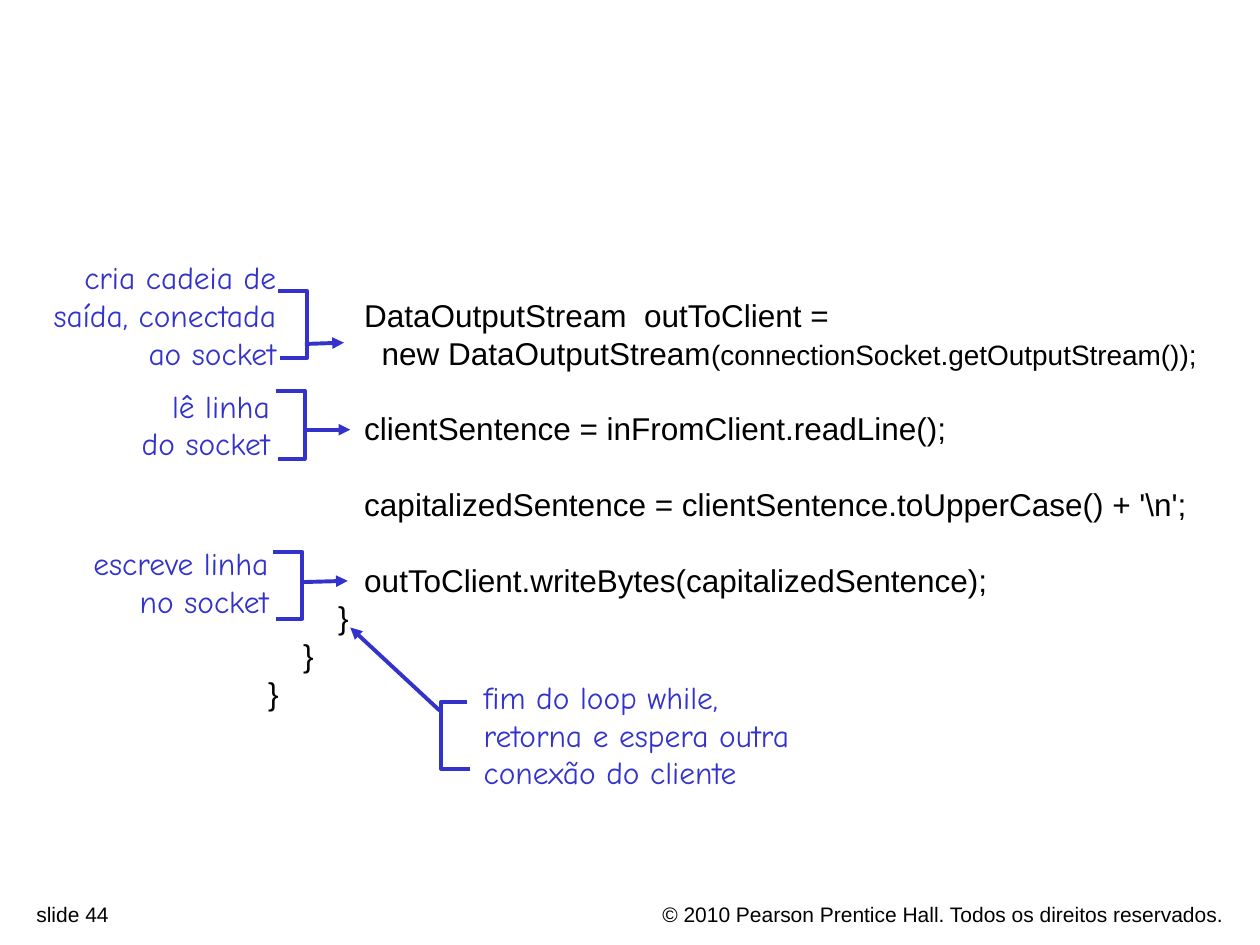
import pptx
import pptx.util
import pptx.dml.color
import pptx.enum.text
import pptx.enum.shapes
import pptx.oxml
import pptx.oxml.ns
from pptx.util import Inches

BLACK = pptx.dml.color.RGBColor(0x00, 0x00, 0x00)
BLUE = pptx.dml.color.RGBColor(0x33, 0x33, 0xCC)
LEFT = pptx.enum.text.PP_ALIGN.LEFT
RIGHT = pptx.enum.text.PP_ALIGN.RIGHT
LINE_FACTOR = 1.2
LINE_WIDTH = 2.25

CODE_STYLE = {"name": "Arial", "size": 18, "color": BLACK}
NOTE_STYLE = {"name": "Comic Neue", "size": 18, "color": BLUE}
FOOTER_STYLE = {"name": "Arial", "size": 12, "color": BLACK}

# Code: (blank lines before, runs as (text, size))
CODE = [
    (0, [("           DataOutputStream  outToClient =", 18)]),
    (0, [("             new DataOutputStream", 18),
         ("(connectionSocket.getOutputStream());", 16)]),
    (1, [("           clientSentence = inFromClient.readLine();", 18)]),
    (1, [("           capitalizedSentence = clientSentence.toUpperCase() + '\\n';", 18)]),
    (1, [("           outToClient.writeBytes(capitalizedSentence);", 18)]),
    (0, [("        }", 18)]),
    (0, [("    }", 18)]),
    (0, [("}", 18)]),
]

# Notes: box (left, top, width, height), alignment, lines,
# bracket (top arm x, spine x, bottom arm x, top y, bottom y), arrow (from, to)
NOTES = [
    {"box": (0, 2, 2.29, 1), "align": RIGHT,
     "lines": ["cria cadeia de", "saída, conectada", "ao socket"],
     "bracket": (2.21, 2.44, 2.22, 2.31, 2.84),
     "arrow": ((2.42, 2.73), (2.73, 2.72))},
    {"box": (0, 3.02, 2.24, 0.7), "align": RIGHT,
     "lines": ["lê linha", "do socket"],
     "bracket": (2.19, 2.42, 2.21, 3.1, 3.64),
     "arrow": ((2.42, 3.41), (2.78, 3.41))},
    {"box": (0, 4.27, 2.23, 0.7), "align": RIGHT,
     "lines": ["escreve linha", "no socket"],
     "bracket": (2.17, 2.4, 2.19, 4.38, 4.91),
     "arrow": ((2.4, 4.62), (2.76, 4.61))},
    {"box": (3.74, 5.33, 3, 1), "align": LEFT,
     "lines": ["fim do loop while,", "retorna e espera outra", "conexão do cliente"],
     "bracket": (3.71, 3.5, 3.73, 5.57, 6.1),
     "arrow": ((3.49, 5.64), (2.78, 4.98))},
]

FOOTERS = [
    ((0.19, 7.11, 3.52, 0.24), LEFT, "slide 44"),
    ((4.7, 7.11, 5.11, 0.24), RIGHT,
     "© 2010 Pearson Prentice Hall. Todos os direitos reservados."),
]


def plain(lines, size):
    return [(0, [(line, size)]) for line in lines]


def add_text(slide, box, lines, style, align):
    shape = slide.shapes.add_textbox(*map(Inches, box))
    frame = shape.text_frame
    frame.word_wrap = True
    pitch = style["size"] * LINE_FACTOR
    for index, (blanks, runs) in enumerate(lines):
        paragraph = frame.add_paragraph() if index else frame.paragraphs[0]
        settings = {"alignment": align, "line_spacing": pptx.util.Pt(pitch),
                    "space_before": pptx.util.Pt(blanks * pitch)}
        for name, value in settings.items():
            setattr(paragraph, name, value)
        for text, size in runs:
            run = paragraph.add_run()
            run.text = text
            for name, value in {"name": style["name"], "size": pptx.util.Pt(size)}.items():
                setattr(run.font, name, value)
            run.font.color.rgb = style["color"]


def style_line(shape):
    shape.line.color.rgb = BLUE
    shape.line.width = pptx.util.Pt(LINE_WIDTH)


def add_bracket(slide, top_arm, spine, bottom_arm, top, bottom):
    builder = slide.shapes.build_freeform(Inches(top_arm), Inches(top))
    corners = [(spine, top), (spine, bottom), (bottom_arm, bottom)]
    builder.add_line_segments([(Inches(x), Inches(y)) for x, y in corners], close=False)
    shape = builder.convert_to_shape()
    shape.shadow.inherit = False
    shape.fill.background()
    style_line(shape)


def add_arrow(slide, start, end):
    connector = slide.shapes.add_connector(
        pptx.enum.shapes.MSO_CONNECTOR.STRAIGHT, *map(Inches, start + end))
    style_line(connector)
    namespace = pptx.oxml.ns.nsdecls("a")
    connector.line._get_or_add_ln().append(
        pptx.oxml.parse_xml(f'<a:tailEnd {namespace} type="triangle"/>'))
    connector._element.spPr.append(pptx.oxml.parse_xml(f"<a:effectLst {namespace}/>"))


def main():
    presentation = pptx.Presentation()
    presentation.slide_width = Inches(10)
    presentation.slide_height = Inches(7.5)
    slide = presentation.slides.add_slide(presentation.slide_layouts[6])

    # Footer
    for box, align, text in FOOTERS:
        add_text(slide, box, plain([text], FOOTER_STYLE["size"]), FOOTER_STYLE, align)

    # Code listing
    add_text(slide, (2.03, 2.3, 7.9, 3.4), CODE, CODE_STYLE, LEFT)

    # Notes with brackets and arrows
    for note in NOTES:
        lines = plain(note["lines"], NOTE_STYLE["size"])
        add_text(slide, note["box"], lines, NOTE_STYLE, note["align"])
        add_bracket(slide, *note["bracket"])
        add_arrow(slide, *note["arrow"])

    presentation.save("out.pptx")


if __name__ == "__main__":
    main()
